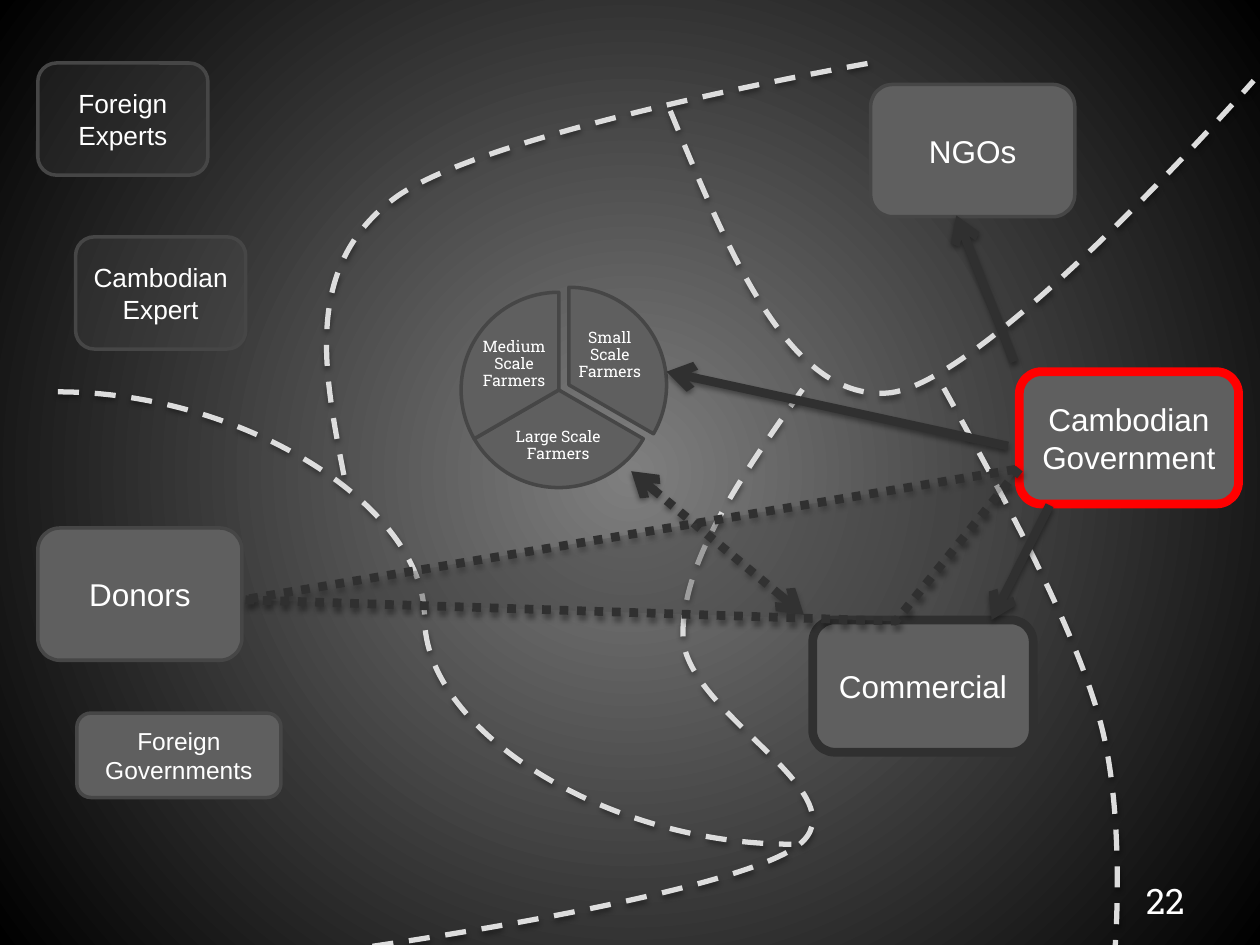
from lxml import etree
from pptx import Presentation
from pptx.dml.color import RGBColor
from pptx.enum.dml import MSO_LINE
from pptx.enum.shapes import MSO_CONNECTOR, MSO_SHAPE
from pptx.enum.text import MSO_ANCHOR, PP_ALIGN
from pptx.oxml.ns import qn
from pptx.util import Inches, Pt

ROUNDED = MSO_SHAPE.FLOWCHART_ALTERNATE_PROCESS
PIE = MSO_SHAPE.PIE
STRAIGHT, CURVE = MSO_CONNECTOR.STRAIGHT, MSO_CONNECTOR.CURVE
DASH, DOTS = MSO_LINE.DASH, MSO_LINE.ROUND_DOT
CENTER, RIGHT = PP_ALIGN.CENTER, PP_ALIGN.RIGHT

COLORS = {"center": "7F7F7F", "edge": "000000", "box": "5F5F5F", "border": "464646",
          "dark": "303030", "area": "474747", "red": "FF0000", "dash": "DDDDDD",
          "text": "FFFFFF"}
SANS, SLAB = "Arial", "Roboto Slab"

DIVIDER = ((0.46, 3.11), (6.28, 6.7))
DONORS = ("Donors", (0.3, 4.19, 1.62, 1.05), 18, "border", 2, 100)
NGOS = ("NGOs", (6.91, 0.67, 1.62, 1.05), 18, "border", 2, 100)
CENTRAL_BOXES = [
    ("Commercial", (6.45, 4.92, 1.75, 1.05), 18, "dark", 5, 100),
    ("Cambodian Government", (8.09, 2.95, 1.74, 1.05), 18, "red", 5, 100),
]
EXPERTS = [
    ("Foreign Experts", (0.3, 0.5, 1.35, 0.89), 15, "border", 2, 20),
    ("Cambodian Expert", (0.6, 1.88, 1.35, 0.89), 15, "border", 2, 20),
]
FOREIGN_GOVERNMENTS = ("Foreign Governments", (0.61, 5.66, 1.62, 0.67), 14, "border", 2, 100)

UPPER_CURVES = [
    [(2.73, 3.77), (2.57, 2.95), (2.41, 2.13), (3.11, 1.59),
     (3.81, 1.04), (6.91, 0.5), (6.91, 0.5)],
    [(5.32, 0.88), (5.79, 2.02), (6.26, 3.16), (7.03, 3.12),
     (7.8, 3.09), (9.95, 0.64), (9.95, 0.64)],
]
LOWER_CURVES = [
    [(7.49, 3.08), (7.99, 3.99), (8.49, 4.91), (8.71, 5.65),
     (8.94, 6.4), (8.85, 7.52), (8.85, 7.52)],
    [(6.37, 3.09), (5.89, 3.77), (5.42, 4.44), (5.42, 5.04), (5.42, 5.64),
     (6.79, 6.27), (6.37, 6.68), (5.95, 7.09), (2.89, 7.52), (2.89, 7.52)],
]
PIE_SIZE = 1.55
FARMERS = [
    ("Small Scale Farmers", (3.74, 2.28), (162, 18), (4.58, 2.56, 0.52, 0.52)),
    ("Large Scale Farmers", (3.66, 2.32), (18, 90), (4.08, 3.3, 0.7, 0.48)),
    ("Medium Scale Farmers", (3.66, 2.32), (90, 162), (3.82, 2.63, 0.52, 0.52)),
]
ARROWS = [
    ((8.33, 4.01), (7.87, 4.92), None, ["tailEnd"]),
    ((8, 3.54), (5.29, 2.95), None, ["tailEnd"]),
    ((8.05, 2.87), (7.59, 1.71), None, ["tailEnd"]),
    ((5.01, 3.74), (6.38, 4.88), DOTS, ["headEnd", "tailEnd"]),
]
TRIANGLE = [(8.09, 3.72), (7.11, 4.93), (1.93, 4.76)]


def rgb(name):
    return RGBColor.from_string(COLORS[name])


def inches(values):
    return [Inches(v) for v in values]


def style_fill(sp, name, alpha=100):
    sp.fill.solid()
    sp.fill.fore_color.rgb = rgb(name)
    if alpha < 100:
        color = sp._element.spPr.find(qn("a:solidFill"))[0]
        etree.SubElement(color, qn("a:alpha")).set("val", str(alpha * 1000))


def style_line(sp, name, width, dash=None):
    sp.line.color.rgb = rgb(name)
    sp.line.width = Pt(width)
    if dash:
        sp.line.dash_style = dash


def add_shadow(sp, alpha=38, distance=1.6):
    effects = etree.SubElement(sp._element.spPr, qn("a:effectLst"))
    shadow = etree.SubElement(effects, qn("a:outerShdw"), blurRad=str(Pt(3.1)),
                              dist=str(Pt(distance)), dir="5400000", rotWithShape="0")
    color = etree.SubElement(shadow, qn("a:srgbClr"), val="000000")
    etree.SubElement(color, qn("a:alpha"), val=str(alpha * 1000))


def write(sp, text, size, font, align=CENTER):
    tf = sp.text_frame
    tf.word_wrap = True
    tf.vertical_anchor = MSO_ANCHOR.MIDDLE
    p = tf.paragraphs[0]
    p.alignment = align
    r = p.add_run()
    r.text = text
    r.font.size = Pt(size)
    r.font.name = font
    r.font.color.rgb = rgb("text")
    return tf


def add_box(text, at, size, border, width, alpha):
    sp = slide.shapes.add_shape(ROUNDED, *inches(at))
    sp.shadow.inherit = False
    style_fill(sp, "box", alpha)
    style_line(sp, border, width)
    write(sp, text, size, SANS)


def add_line(kind, start, end, color, width, dash, heads=()):
    line = slide.shapes.add_connector(kind, *inches(start + end))
    style_line(line, color, width, dash)
    ln = line._element.spPr.find(qn("a:ln"))
    for head in heads:
        etree.SubElement(ln, qn("a:" + head), type="arrow")
    add_shadow(line)


def add_outline(points, close):
    builder = slide.shapes.build_freeform(*inches(points[0]))
    builder.add_line_segments([inches(pt) for pt in points[1:]], close=close)
    return builder.convert_to_shape()


def add_curve(points):
    sp = add_outline(points, False)
    segments = list(sp._element.iter(qn("a:lnTo")))
    for i in range(0, len(segments), 3):
        bezier = etree.Element(qn("a:cubicBezTo"))
        segments[i].addprevious(bezier)
        for segment in segments[i:i + 3]:
            bezier.append(segment[0])
            segment.getparent().remove(segment)
    sp.fill.background()
    style_line(sp, "dash", 3, DASH)
    add_shadow(sp)


def add_farmers():
    group = slide.shapes.add_group_shape()
    for text, corner, angles, label_at in FARMERS:
        sp = group.shapes.add_shape(PIE, *inches(corner + (PIE_SIZE, PIE_SIZE)))
        sp.adjustments[0], sp.adjustments[1] = angles
        sp.shadow.inherit = False
        style_fill(sp, "box")
        style_line(sp, "border", 2)
        label = group.shapes.add_textbox(*inches(label_at))
        tf = write(label, text, 9, SLAB)
        tf.margin_left = tf.margin_right = tf.margin_top = tf.margin_bottom = Inches(0.01)
        tf.paragraphs[0].line_spacing = 0.9


prs = Presentation()
prs.slide_width, prs.slide_height = Inches(10), Inches(7.5)
slide = prs.slides.add_slide(prs.slide_layouts[6])

bg = slide.background.fill
bg.gradient()
for stop, name in zip(bg.gradient_stops, ("center", "edge")):
    stop.color.rgb = rgb(name)
grad = slide._element.find(".//" + qn("a:gradFill"))
grad.remove(grad.find(qn("a:lin")))
radial = etree.Element(qn("a:path"))
radial.set("path", "circle")
grad.find(qn("a:gsLst")).addnext(radial)
etree.SubElement(radial, qn("a:fillToRect"), l="50000", t="50000", r="50000", b="50000")

number = slide.shapes.add_textbox(*inches((7.17, 6.95, 2.33, 0.4)))
write(number, "22", 20, SLAB, RIGHT)

add_line(CURVE, *DIVIDER, "dash", 3, DASH)
add_box(*DONORS)
for points in UPPER_CURVES:
    add_curve(points)
add_box(*NGOS)
for points in LOWER_CURVES:
    add_curve(points)
for box in CENTRAL_BOXES:
    add_box(*box)
add_farmers()
for box in EXPERTS:
    add_box(*box)
for start, end, dash, heads in ARROWS:
    add_line(STRAIGHT, start, end, "dark", 5, dash, heads)
add_box(*FOREIGN_GOVERNMENTS)

triangle = add_outline(TRIANGLE, True)
style_fill(triangle, "area", 30)
style_line(triangle, "dark", 5, DOTS)
add_shadow(triangle, 35, 1.8)

prs.save("out.pptx")
